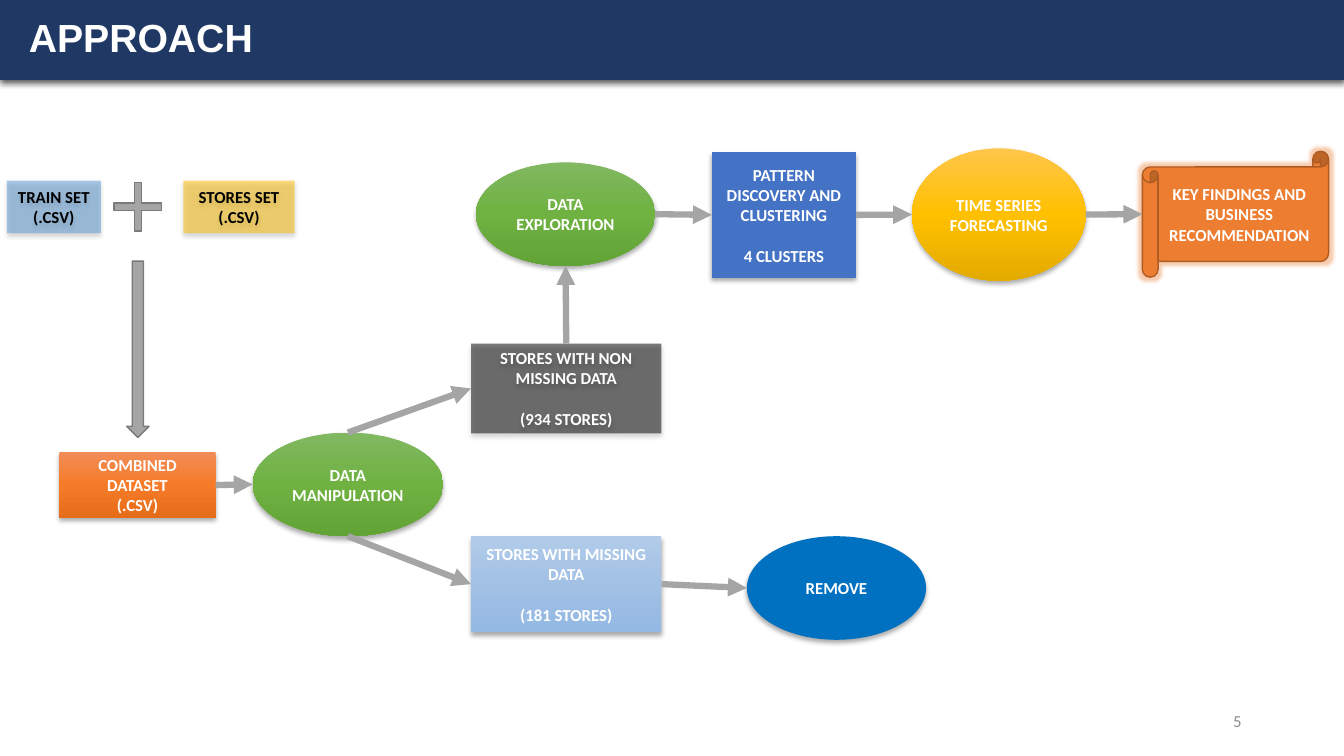
from copy import deepcopy

from pptx import Presentation
from pptx.dml.color import RGBColor
from pptx.enum.shapes import MSO_CONNECTOR, MSO_SHAPE as SHAPE
from pptx.enum.text import MSO_ANCHOR as ANCHOR, PP_ALIGN as ALIGN
from pptx.oxml.ns import qn
from pptx.util import Pt

WHITE = RGBColor(0xFF, 0xFF, 0xFF)
BLACK = RGBColor(0, 0, 0)
NAVY = RGBColor(0x20, 0x38, 0x64)
GREY = RGBColor(0xA5, 0xA5, 0xA5)
DARK_GREY = RGBColor(0x7A, 0x7A, 0x7A)
NUMBER_GREY = RGBColor(0x8C, 0x8C, 0x8C)
SKY = RGBColor(0x5B, 0x9B, 0xD5)
GOLD = RGBColor(0xFF, 0xC0, 0x00)
BLUE = RGBColor(0x44, 0x72, 0xC4)
DEEP_BLUE = RGBColor(0x00, 0x70, 0xC0)
ORANGE = RGBColor(0xED, 0x7D, 0x31)
BROWN = RGBColor(0xAF, 0x5C, 0x24)
ORANGES = RGBColor(0xF1, 0x8C, 0x57), RGBColor(0xF6, 0x7B, 0x28), RGBColor(0xE5, 0x6C, 0x19)
BLUES = RGBColor(0xB1, 0xCB, 0xE9), RGBColor(0xA3, 0xC1, 0xE5), RGBColor(0x93, 0xB9, 0xE4)
GREENS = RGBColor(0x81, 0xB8, 0x61), RGBColor(0x6F, 0xB2, 0x42), RGBColor(0x62, 0xA3, 0x36)
YELLOWS = RGBColor(0xFF, 0xC6, 0x4B), GOLD, RGBColor(0xE3, 0xAB, 0x00)

SIDES = {"top": (0.5, 0), "left": (0, 0.5), "bottom": (0.5, 1), "right": (1, 0.5)}


def add_xml(parent, tag, **attrs):
    """Append a DrawingML element with the given attributes."""
    el = parent.makeelement(qn(tag), {k: str(v) for k, v in attrs.items()})
    parent.append(el)
    return el


def add_effect(sp, tag, color, alpha, **attrs):
    """Give a shape one coloured effect, such as a shadow or a glow."""
    effects = sp._element.spPr.find(qn("a:effectLst"))
    clr = add_xml(add_xml(effects, tag, **attrs), "a:srgbClr", val=color)
    add_xml(clr, "a:alpha", val=alpha * 1000)


def add_shadow(sp, alpha=32, blur=3.5, dist=2.2):
    """Drop a black shadow straight below a shape."""
    add_effect(sp, "a:outerShdw", BLACK, alpha, blurRad=Pt(blur), dist=Pt(dist),
               dir=5400000, algn="t", rotWithShape=0)


def set_fill(sp, fill, alpha=None):
    """Fill with one colour, or top to bottom through three."""
    if isinstance(fill, RGBColor):
        sp.fill.solid()
        sp.fill.fore_color.rgb = fill
        if alpha:
            clr = next(sp._element.spPr.iter(qn("a:srgbClr")))
            add_xml(clr, "a:alpha", val=alpha * 1000)
        return
    sp.fill.gradient()
    sp.fill.gradient_angle = 270
    stops = next(sp._element.spPr.iter(qn("a:gsLst")))
    stops.insert(1, deepcopy(stops[0]))
    for i, stop in enumerate(sp.fill.gradient_stops):
        stop.position = i / 2
        stop.color.rgb = fill[i]


def write(sp, text, size=12, font="Calibri", color=WHITE, bold=True,
          align=ALIGN.CENTER, gap=0, spacing=None):
    """Write one paragraph per line, with a gap before the last one."""
    tf = sp.text_frame
    tf.word_wrap = True
    tf.vertical_anchor = ANCHOR.MIDDLE
    tf.text = text
    for p in tf.paragraphs:
        p.alignment = align
        p.line_spacing = spacing
        r = p.runs[0]
        r.font.size, r.font.name, r.font.bold = Pt(size), font, bold
        r.font.color.rgb = color
    if gap:
        p.space_before = Pt(gap)


def add_shape(s, kind, box, fill, line=None, alpha=None):
    """Add a filled preset shape without a shadow."""
    sp = s.shapes.add_shape(kind, *map(Pt, box))
    sp.shadow.inherit = False
    set_fill(sp, fill, alpha)
    if line:
        sp.line.color.rgb = line
        sp.line.width = Pt(1)
    else:
        sp.line.fill.background()
    return sp


def add_step(s, kind, box, fill, text, alpha=None, **fmt):
    """Add a labelled flowchart step with a shadow."""
    sp = add_shape(s, kind, box, fill, alpha=alpha)
    add_shadow(sp)
    write(sp, text, **fmt)
    return sp


def add_label(s, box, text, **fmt):
    """Add a text box."""
    write(s.shapes.add_textbox(*map(Pt, box)), text, **fmt)


def add_arrow(s, start, start_side, end, end_side):
    """Join the sides of two steps with an arrow."""
    ends = []
    for sp, side in ((start, start_side), (end, end_side)):
        fx, fy = SIDES[side]
        ends += [int(sp.left + fx * sp.width), int(sp.top + fy * sp.height)]
    cx = s.shapes.add_connector(MSO_CONNECTOR.STRAIGHT, *ends)
    cx.line.color.rgb = GREY
    cx.line.width = Pt(4.5)
    spPr = cx._element.spPr
    add_xml(spPr.find(qn("a:ln")), "a:tailEnd", type="triangle")
    add_xml(spPr, "a:effectLst")


def main():
    """Build the slide and save it."""
    prs = Presentation()
    prs.slide_width, prs.slide_height = Pt(960), Pt(540)
    s = prs.slides.add_slide(prs.slide_layouts[6])

    add_shadow(add_shape(s, SHAPE.RECTANGLE, (0, 0, 960, 57), NAVY), 63, 4.5, 1.5)
    add_label(s, (13.5, 0, 814.5, 57), "APPROACH", size=28, font="Arial",
              align=ALIGN.LEFT, spacing=0.9)
    add_label(s, (678, 500.5, 216, 28.75), "5", color=NUMBER_GREY, bold=False,
              align=ALIGN.RIGHT)

    box, oval = SHAPE.FLOWCHART_PROCESS, SHAPE.FLOWCHART_CONNECTOR
    add_step(s, box, (5, 129, 67, 37.5), SKY, "TRAIN SET\n(.CSV)", 50, color=BLACK)
    add_step(s, box, (131, 129, 79.5, 37.5), GOLD, "STORES SET\n(.CSV)", 50, color=BLACK)
    plus = add_shape(s, SHAPE.CROSS, (81.5, 130.5, 34, 34.5), GREY, DARK_GREY)
    plus.adjustments[0] = 0.43
    add_shape(s, SHAPE.DOWN_ARROW, (90.5, 186.5, 16, 126), GREY, DARK_GREY)

    combined = add_step(s, box, (42.5, 323, 111.5, 47), ORANGES,
                        "COMBINED\nDATASET\n(.CSV)")
    manipulation = add_step(s, oval, (180.5, 309, 136, 74), GREENS, "DATA MANIPULATION")
    complete = add_step(s, box, (336.5, 245.5, 136, 64), BLACK,
                        "STORES WITH NON MISSING DATA\n(934 STORES)", 50, gap=14.6)
    missing = add_step(s, box, (336.5, 383, 136, 68.5), BLUES,
                       "STORES WITH MISSING DATA\n(181 STORES)", gap=14.6)
    remove = add_step(s, oval, (533.5, 383, 128, 74), DEEP_BLUE, "REMOVE")
    exploration = add_step(s, oval, (340, 116, 128, 74), GREENS, "DATA EXPLORATION")
    pattern = add_step(s, box, (508.5, 108.5, 103, 90), BLUE,
                       "PATTERN DISCOVERY AND CLUSTERING\n4 CLUSTERS", gap=14.6)
    forecasting = add_step(s, oval, (651.5, 106, 124, 94.5), YELLOWS,
                           "TIME SERIES\nFORECASTING")
    findings = add_shape(s, SHAPE.HORIZONTAL_SCROLL, (816, 108, 133, 90), ORANGE, BROWN)
    add_effect(findings, "a:glow", ORANGE, 40, rad=Pt(5))
    write(findings, "KEY FINDINGS AND BUSINESS RECOMMENDATION")

    add_arrow(s, manipulation, "top", complete, "left")
    add_arrow(s, manipulation, "bottom", missing, "left")
    add_arrow(s, complete, "top", exploration, "bottom")
    across = ((combined, manipulation), (missing, remove), (exploration, pattern),
              (pattern, forecasting), (forecasting, findings))
    for start, end in across:
        add_arrow(s, start, "right", end, "left")

    prs.save("out.pptx")


if __name__ == "__main__":
    main()
